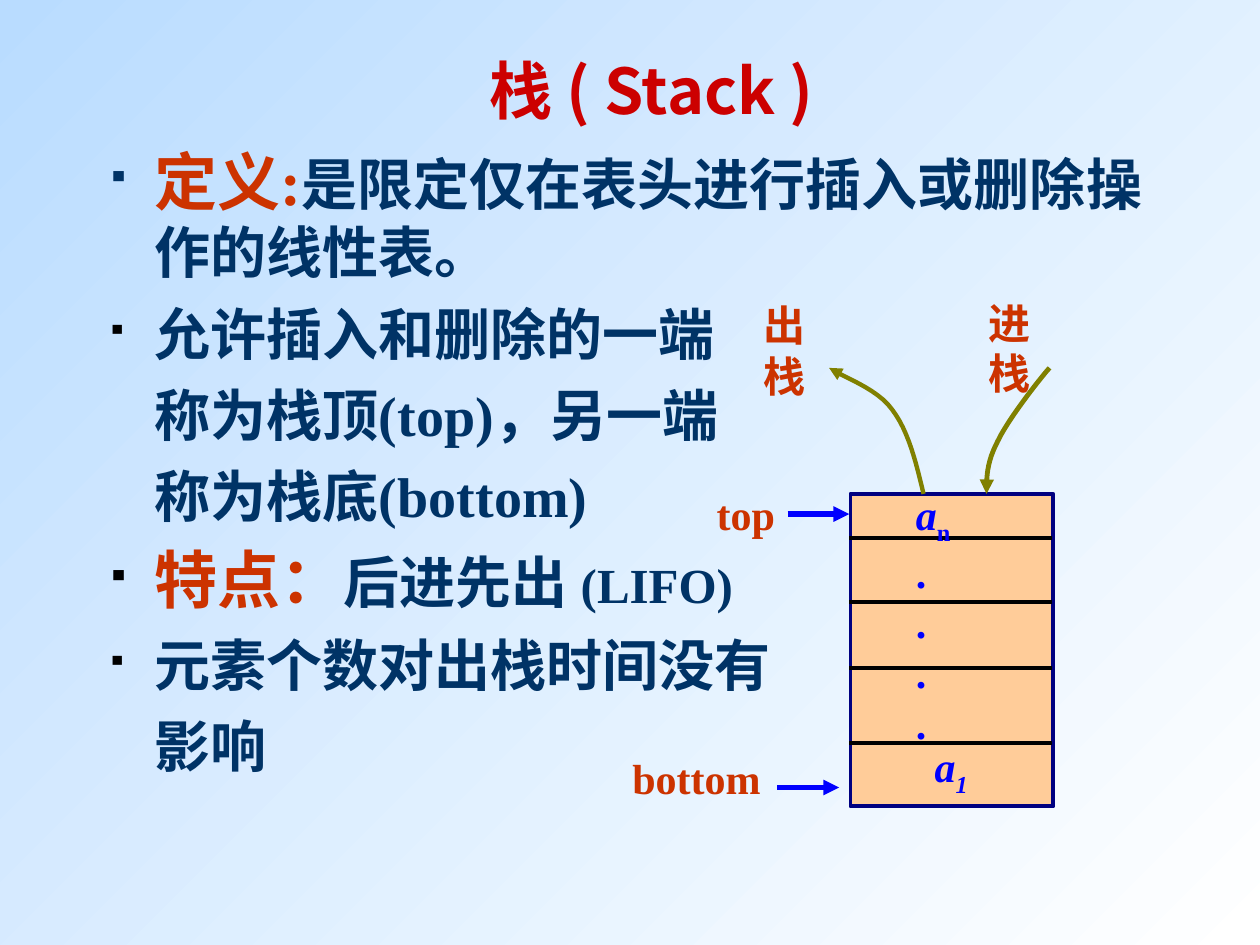
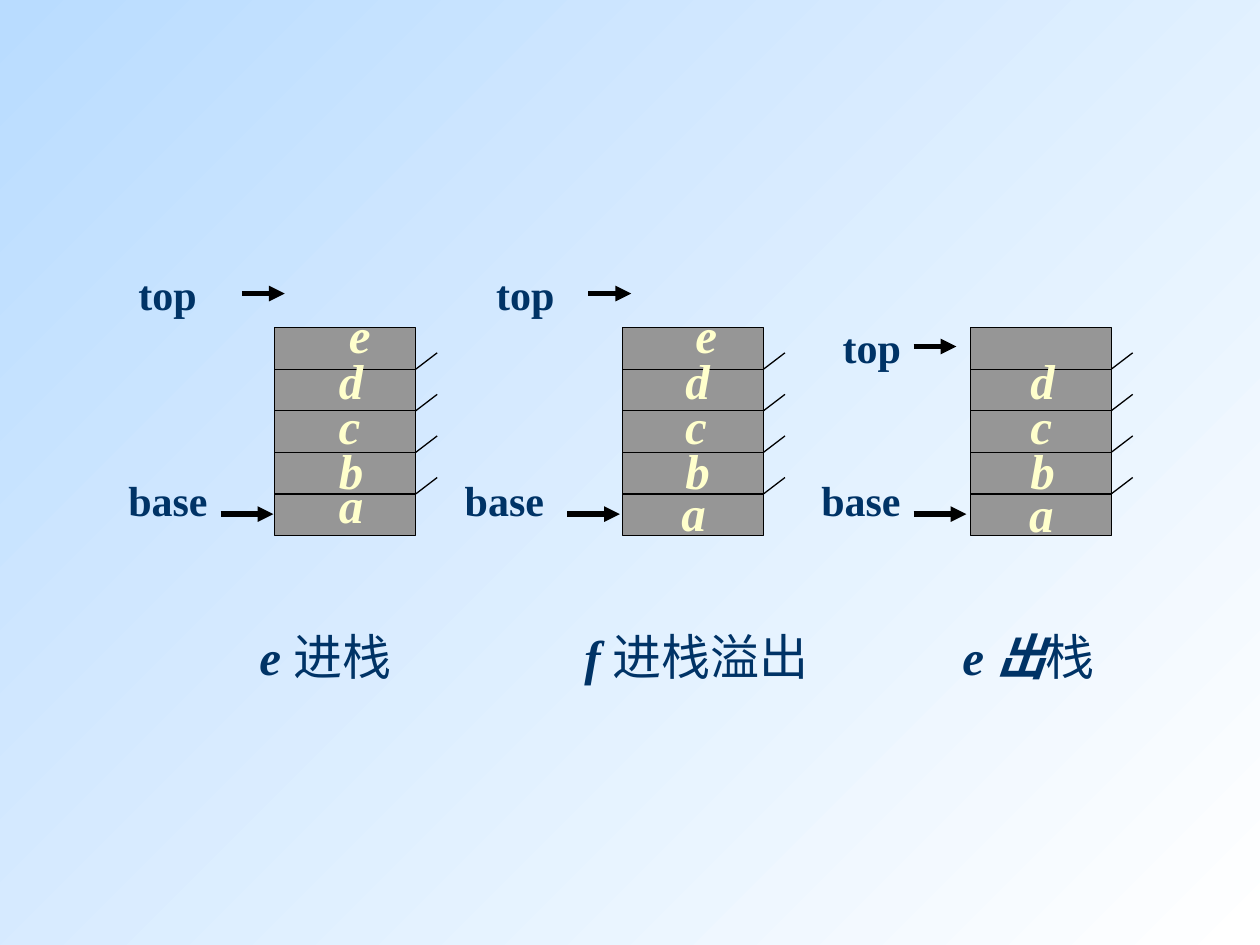
"""Build two slides that introduce the stack data structure."""
from dataclasses import dataclass

from lxml import etree
from pptx import Presentation
from pptx.dml.color import RGBColor
from pptx.enum.shapes import MSO_CONNECTOR, MSO_SHAPE
from pptx.enum.text import MSO_ANCHOR, MSO_AUTO_SIZE, PP_ALIGN
from pptx.oxml.ns import qn
from pptx.util import Inches, Pt

STRAIGHT = MSO_CONNECTOR.STRAIGHT
RECTANGLE = MSO_SHAPE.RECTANGLE
MIDDLE = MSO_ANCHOR.MIDDLE
FIT_SHAPE = MSO_AUTO_SIZE.SHAPE_TO_FIT_TEXT
NO_FIT = MSO_AUTO_SIZE.NONE
CENTER = PP_ALIGN.CENTER

SKY = RGBColor(0xB9, 0xDC, 0xFF)
WHITE = RGBColor(0xFF, 0xFF, 0xFF)
BLACK = RGBColor(0x00, 0x00, 0x00)
CRIMSON = RGBColor(0xCC, 0x00, 0x00)
ORANGE_RED = RGBColor(0xCC, 0x33, 0x00)
DEEP_BLUE = RGBColor(0x00, 0x33, 0x66)
NAVY = RGBColor(0x00, 0x00, 0x80)
BLUE = RGBColor(0x00, 0x00, 0xFF)
PEACH = RGBColor(0xFF, 0xCC, 0x99)
OLIVE = RGBColor(0x80, 0x80, 0x00)
GRAY = RGBColor(0x96, 0x96, 0x96)
CREAM = RGBColor(0xFF, 0xFF, 0xCC)

SERIF = "Times New Roman"
CHINESE = "Noto Sans CJK SC"
HANGING = 0.38
CURVE_STEPS = 12

Point = tuple[float, float]


@dataclass(frozen=True)
class Span:
    """A stretch of text with one format."""
    text: str
    size: float = 24
    color: RGBColor = DEEP_BLUE
    bold: bool = True
    italic: bool = False
    subscript: bool = False
    font: str = SERIF


@dataclass(frozen=True)
class Item:
    """A body paragraph; without a bullet colour it continues the one above."""
    spans: list[Span]
    bullet: RGBColor | None = None
    space_before: float = 8


@dataclass(frozen=True)
class Stack:
    """One stack state with its pointers, letters and caption."""
    left: float
    letters: str
    letter_left: float
    bottom_letter: Point
    top_label: Point
    top_arrow_left: float
    base_label_left: float
    base_arrow_left: float
    caption_left: float
    caption_width: float
    caption: list[Span]


def body_span(text: str, size: float = 32, color: RGBColor = DEEP_BLUE) -> Span:
    """Return a span in the body style."""
    return Span(text, size, color)


BODY = [
    Item([body_span("定义:", 36, ORANGE_RED),
          body_span("是限定仅在表头进行插入或删除操作的线性表。")], DEEP_BLUE, 0),
    Item([body_span("允许插入和删除的一端")], BLACK),
    Item([body_span("称为栈顶(top)，另一端")]),
    Item([body_span("称为栈底(bottom)")]),
    Item([body_span("特点：", 36, ORANGE_RED), body_span("后进先出 "),
          body_span("(LIFO)", 28)], BLACK, 7),
    Item([body_span("元素个数对出栈时间没有")], BLACK),
    Item([body_span("影响")]),
]


def caption_spans(lead: str, rest: str) -> list[Span]:
    """Return a caption with a bold italic lead and a plain rest."""
    return [Span(lead, 28, italic=True), Span(rest, 28, bold=False)]


STACKS = [
    Stack(2.18, "edcba", 2.59, (2.59, 3.72), (1, 2.08), 1.92, 0.92, 1.75,
          1.96, 1.34, caption_spans("e ", "进栈")),
    Stack(4.94, "edcba", 5.34, (5.31, 3.78), (3.84, 2.08), 4.67, 3.59, 4.5,
          4.54, 2.07, caption_spans("f ", "进栈溢出")),
    Stack(7.7, " dcba", 8.08, (8.07, 3.79), (6.59, 2.5), 7.25, 6.42, 7.25,
          7.54, 1.34, caption_spans("e 出", "栈")),
]


def add_spans(paragraph, spans: list[Span]) -> None:
    """Add formatted runs to a paragraph."""
    for span in spans:
        run = paragraph.add_run()
        run.text = span.text
        font = run.font
        font.size = Pt(span.size)
        font.bold = span.bold
        font.italic = span.italic
        font.color.rgb = span.color
        font.name = span.font
        properties = run._r.get_or_add_rPr()
        etree.SubElement(properties, qn("a:ea"), typeface=CHINESE)
        if span.subscript:
            properties.set("baseline", "-25000")


def add_text(slide, left: float, top: float, width: float, height: float,
             lines: list[list[Span]], wrap: bool = False):
    """Add a text box with one paragraph per line and return its frame."""
    box = slide.shapes.add_textbox(Inches(left), Inches(top), Inches(width), Inches(height))
    frame = box.text_frame
    frame.word_wrap = wrap
    frame.auto_size = FIT_SHAPE
    for index, spans in enumerate(lines):
        paragraph = frame.add_paragraph() if index else frame.paragraphs[0]
        add_spans(paragraph, spans)
    return frame


def add_arrowhead(shape) -> None:
    """Put a triangle at the end of a line."""
    etree.SubElement(shape.line._get_or_add_ln(), qn("a:tailEnd"), type="triangle")


def add_line(slide, start: Point, end: Point, color: RGBColor = BLACK,
             width: float = 0.75, arrow: bool = False) -> None:
    """Draw a straight line, with an arrowhead if wanted."""
    connector = slide.shapes.add_connector(
        STRAIGHT, *(Inches(value) for value in (*start, *end)))
    connector.line.color.rgb = color
    connector.line.width = Pt(width)
    if arrow:
        add_arrowhead(connector)
    etree.SubElement(connector._element.spPr, qn("a:effectLst"))


def add_box(slide, left: float, top: float, width: float, height: float,
            fill: RGBColor, line: RGBColor, line_width: float) -> None:
    """Draw a filled rectangle."""
    shape = slide.shapes.add_shape(
        RECTANGLE, Inches(left), Inches(top), Inches(width), Inches(height))
    shape.shadow.inherit = False
    shape.fill.solid()
    shape.fill.fore_color.rgb = fill
    shape.line.color.rgb = line
    shape.line.width = Pt(line_width)


def bezier(points: list[Point], t: float) -> Point:
    """Return the point at t on a cubic curve."""
    weights = ((1 - t) ** 3, 3 * t * (1 - t) ** 2, 3 * t ** 2 * (1 - t), t ** 3)
    x, y = (sum(weight * point[axis] for weight, point in zip(weights, points))
            for axis in (0, 1))
    return x, y


def add_curve(slide, points: list[Point], width: float) -> None:
    """Draw a chain of cubic curves that ends in an arrowhead."""
    builder = slide.shapes.build_freeform(Inches(points[0][0]), Inches(points[0][1]))
    vertices = [bezier(points[first:first + 4], step / CURVE_STEPS)
                for first in range(0, len(points) - 1, 3)
                for step in range(1, CURVE_STEPS + 1)]
    builder.add_line_segments([(Inches(x), Inches(y)) for x, y in vertices], close=False)
    shape = builder.convert_to_shape()
    shape.shadow.inherit = False
    shape.fill.background()
    shape.line.color.rgb = OLIVE
    shape.line.width = Pt(width)
    add_arrowhead(shape)


def format_item(paragraph, item: Item) -> None:
    """Set the indent, bullet and spacing of a body paragraph."""
    properties = paragraph._p.get_or_add_pPr()
    properties.set("marL", str(Inches(HANGING)))
    properties.set("indent", str(-Inches(HANGING) if item.bullet else 0))
    if item.bullet:
        color = etree.SubElement(properties, qn("a:buClr"))
        etree.SubElement(color, qn("a:srgbClr"), val=str(item.bullet))
        etree.SubElement(properties, qn("a:buSzPct"), val="50000")
        etree.SubElement(properties, qn("a:buChar"), char="▪")
    else:
        etree.SubElement(properties, qn("a:buNone"))
    paragraph.space_before = Pt(item.space_before)


def set_background(master) -> None:
    """Give all slides the diagonal sky gradient."""
    fill = master.background.fill
    fill.gradient()
    fill.gradient_angle = 315
    for stop, position, color in zip(fill.gradient_stops, (0, 1), (SKY, WHITE)):
        stop.position = position
        stop.color.rgb = color


def build_definition(slide) -> None:
    """Build the slide that defines a stack."""
    title = add_text(slide, 0.92, 0.25, 8.5, 0.92,
                     [[Span("栈 ( Stack )", 36, CRIMSON, font=CHINESE)]], wrap=True)
    title.auto_size = NO_FIT
    title.vertical_anchor = MIDDLE
    title.paragraphs[0].alignment = CENTER

    body = add_text(slide, 0.75, 1.08, 8.5, 5.58, [item.spans for item in BODY], wrap=True)
    body.auto_size = NO_FIT
    for paragraph, item in zip(body.paragraphs, BODY):
        format_item(paragraph, item)

    add_box(slide, 6.75, 3.92, 1.61, 2.48, PEACH, NAVY, 2.25)
    for y in (4.27, 4.78, 5.3, 5.9):
        add_line(slide, (6.74, y), (8.35, y), width=2.25)
    for x, y in ((6.25, 4.08), (6.17, 6.25)):
        add_line(slide, (x, y), (x + 0.49, y), BLUE, 3, arrow=True)
    for text, left, top, width in (("top", 5.59, 3.83, 0.66), ("bottom", 4.92, 5.92, 1.22),
                                   ("进栈", 7.75, 2.31, 0.86), ("出栈", 5.96, 2.33, 0.86)):
        add_text(slide, left, top, width, 0.5, [[Span(text, color=ORANGE_RED)]])

    add_curve(slide, [(7.33, 3.92), (7.27, 3.67), (7.21, 3.42), (7.08, 3.25),
                      (6.96, 3.08), (6.68, 2.99), (6.58, 2.92)], 2.5)
    add_curve(slide, [(8.33, 2.92), (8.25, 3.01), (8, 3.33), (7.92, 3.5),
                      (7.83, 3.67), (7.83, 3.79), (7.83, 3.92)], 2.75)

    element = Span("a", color=BLUE, italic=True)
    dot = Span(".", color=BLUE)
    add_text(slide, 7.17, 3.83, 0.83, 2.56,
             [[element, Span("n", color=BLUE, subscript=True)]] + [[dot]] * 4, wrap=True)
    add_text(slide, 7.32, 5.83, 0.46, 0.56,
             [[element, Span("1", color=BLUE, italic=True, subscript=True)]])


def draw_stack(slide, stack: Stack) -> None:
    """Draw one stack state."""
    top, width, cell, cells = 2.6, 1.12, 0.33, 5
    right = stack.left + width
    add_box(slide, stack.left, top, width, cell * cells, GRAY, BLACK, 0.75)
    for index in range(1, cells):
        y = top + cell * index
        add_line(slide, (stack.left, y), (right, y))
        add_line(slide, (right, y), (right + 0.17, y - 0.13))

    for index, letter in enumerate(stack.letters):
        if letter == " ":
            continue
        left = stack.letter_left + (0.08 if letter == "e" else 0)
        position = (left, 2.37 + 0.36 * index)
        if index == cells - 1:
            position = stack.bottom_letter
        letter_width = 0.37 if letter in "ce" else 0.39
        add_text(slide, *position, letter_width, 0.57, [[Span(letter, 28, CREAM, italic=True)]])

    add_text(slide, *stack.top_label, 0.66, 0.5, [[Span("top")]])
    add_text(slide, stack.base_label_left, 3.72, 0.83, 0.5, [[Span("base")]])
    for left, y, length in ((stack.top_arrow_left, stack.top_label[1] + 0.25, 0.34),
                            (stack.base_arrow_left, 4.08, 0.42)):
        add_line(slide, (left, y), (left + length, y), width=3, arrow=True)
    add_text(slide, stack.caption_left, 4.92, stack.caption_width, 0.57, [stack.caption])


def main() -> None:
    """Build and save the presentation."""
    presentation = Presentation()
    presentation.slide_width = Inches(10)
    presentation.slide_height = Inches(7.5)
    set_background(presentation.slide_master)
    blank = presentation.slide_layouts[6]
    build_definition(presentation.slides.add_slide(blank))
    states_slide = presentation.slides.add_slide(blank)
    for stack in STACKS:
        draw_stack(states_slide, stack)
    presentation.save("out.pptx")


if __name__ == "__main__":
    main()
